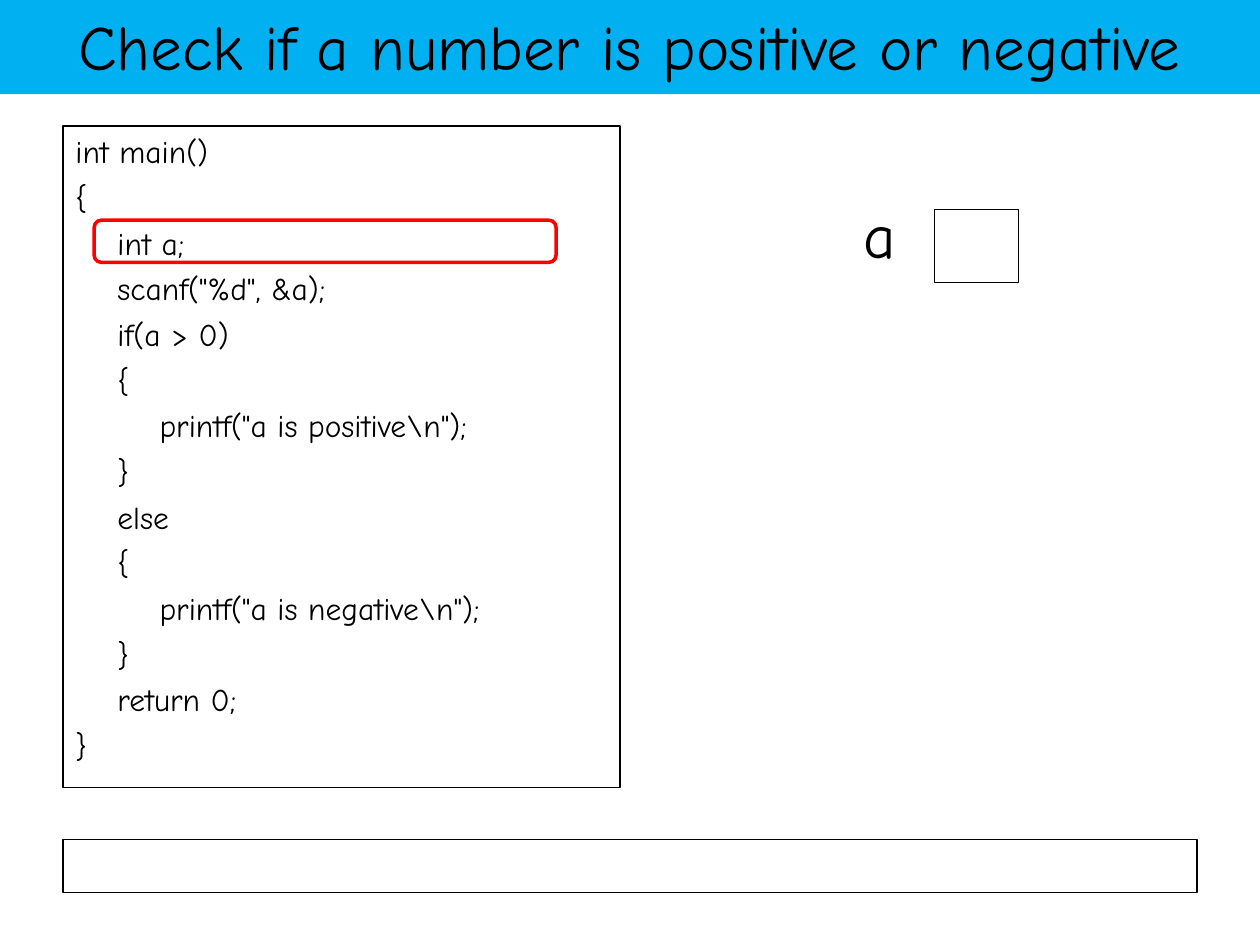
from pptx import Presentation
from pptx.dml.color import RGBColor
from pptx.enum.shapes import MSO_SHAPE as Shape
from pptx.enum.text import MSO_ANCHOR as Anchor, MSO_AUTO_SIZE as AutoSize, PP_ALIGN as Align
from pptx.util import Cm, Pt

FONT = "Comic Neue"
COLORS = {"banner": "00B0F0", "ink": "000000", "highlight": "FF0000"}
CODE = r"""int main()
{
    int a;
    scanf("%d", &a);
    if(a > 0)
    {
        printf("a is positive\n");
    }
    else
    {
        printf("a is negative\n");
    }
    return 0;
}"""


def add_run(paragraph, text, size):
    run = paragraph.add_run()
    run.text = text
    run.font.name = FONT
    run.font.size = Pt(size)
    run.font.color.rgb = RGBColor.from_string(COLORS["ink"])


def add_frame(kind, left, top, width, height, color="ink", weight=0.75):
    """Add an unfilled outline, measured in centimetres."""
    shape = slide.shapes.add_shape(kind, Cm(left), Cm(top), Cm(width), Cm(height))
    shape.shadow.inherit = False
    shape.fill.background()
    shape.line.color.rgb = RGBColor.from_string(COLORS[color])
    shape.line.width = Pt(weight)
    return shape


presentation = Presentation()
presentation.slide_width, presentation.slide_height = Cm(25.4), Cm(19.05)
slide = presentation.slides.add_slide(presentation.slide_layouts[5])

# Title banner
title = slide.shapes.title
title.left, title.top, title.width, title.height = Cm(-0.03), Cm(-0.08), Cm(25.43), Cm(1.98)
title.fill.solid()
title.fill.fore_color.rgb = RGBColor.from_string(COLORS["banner"])
title.text_frame.auto_size = AutoSize.NONE
title.text_frame.vertical_anchor = Anchor.MIDDLE
title_paragraph = title.text_frame.paragraphs[0]
title_paragraph.alignment = Align.CENTER
add_run(title_paragraph, "Check if a number is positive or negative", 36)

# Program listing
code_box = add_frame(Shape.RECTANGLE, 1.27, 2.54, 11.23, 13.34)
code_frame = code_box.text_frame
code_frame.word_wrap = True
code_frame.vertical_anchor = Anchor.TOP
for index, line in enumerate(CODE.splitlines()):
    paragraph = code_frame.add_paragraph() if index else code_frame.paragraphs[0]
    paragraph.alignment = Align.LEFT
    if index:
        paragraph.space_before = Pt(4.5)
    add_run(paragraph, line, 18)

# Output area
add_frame(Shape.RECTANGLE, 1.27, 16.93, 22.86, 1.07)

# Variable a and its memory cell
variable_label = slide.shapes.add_textbox(Cm(17.15), Cm(3.81), Cm(1.27), Cm(1.8))
variable_label.text_frame.word_wrap = True
add_run(variable_label.text_frame.paragraphs[0], "a", 36)
add_frame(Shape.RECTANGLE, 18.84, 4.23, 1.7, 1.46)

# Current line marker
add_frame(Shape.ROUNDED_RECTANGLE, 1.9, 4.44, 9.31, 0.85, "highlight", 2)

presentation.save("out.pptx")
